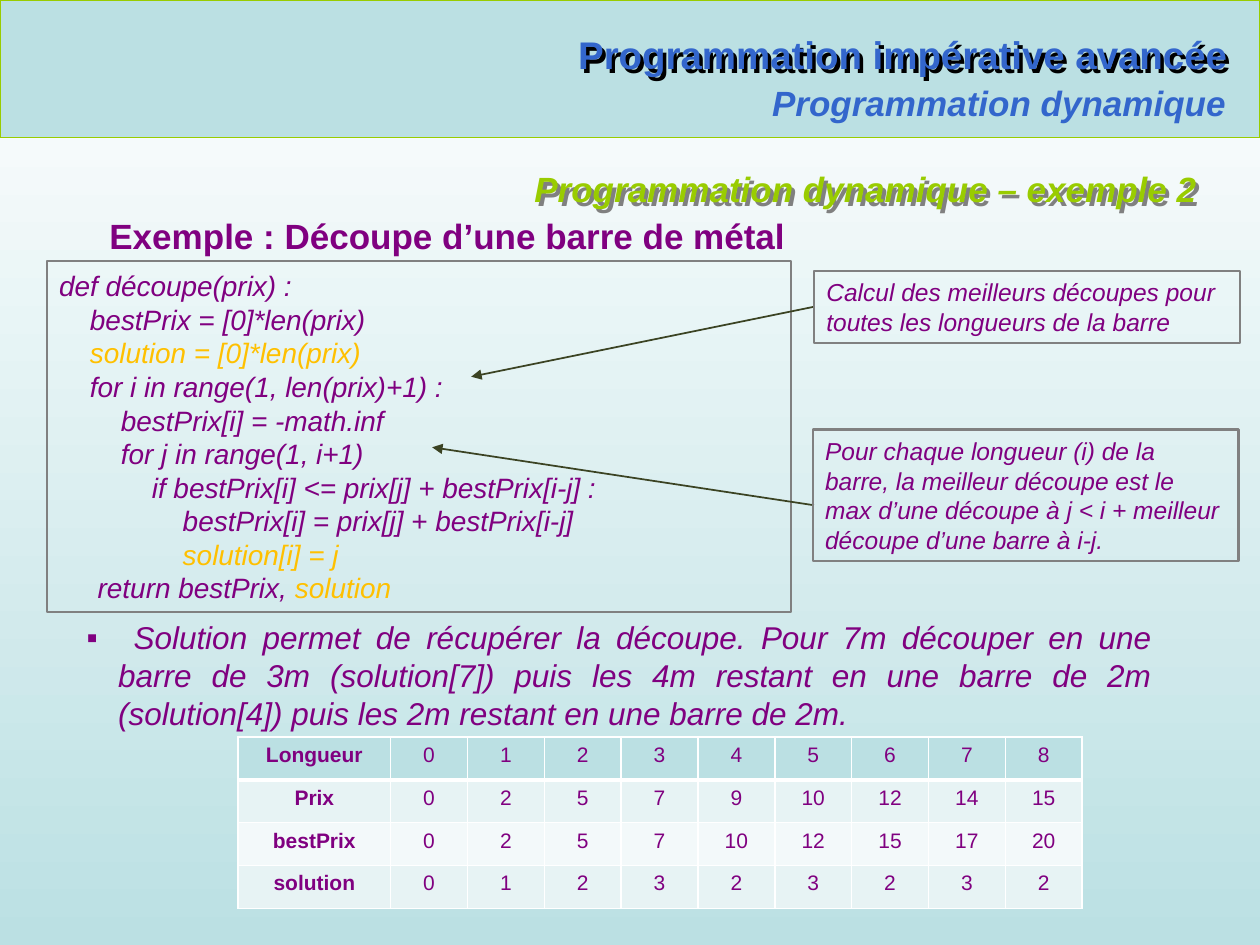
from dataclasses import dataclass

from lxml import etree
from pptx import Presentation
from pptx.dml.color import RGBColor
from pptx.enum.shapes import MSO_CONNECTOR, MSO_SHAPE
from pptx.enum.text import MSO_ANCHOR, MSO_AUTO_SIZE, PP_ALIGN
from pptx.oxml.ns import qn
from pptx.util import Inches, Pt

RECT = MSO_SHAPE.RECTANGLE
STRAIGHT = MSO_CONNECTOR.STRAIGHT
TOP, MIDDLE = MSO_ANCHOR.TOP, MSO_ANCHOR.MIDDLE
LEFT, CENTER, RIGHT, JUSTIFY = (
    PP_ALIGN.LEFT, PP_ALIGN.CENTER, PP_ALIGN.RIGHT, PP_ALIGN.JUSTIFY)
LEFT_SIDE = 1

FONT = "Arial"
COLORS = {
    "white": "FFFFFF", "black": "000000", "gray": "808080", "aqua": "BBE0E3",
    "band_dark": "E7F3F4", "band_light": "F3F9FA", "green": "99CC00",
    "blue": "3366CC", "purple": "800080", "amber": "FFC000", "arrow": "3B4323",
}


@dataclass
class Style:
    size: float
    color: str = "purple"
    bold: bool = False
    italic: bool = False
    align: PP_ALIGN = LEFT


@dataclass
class Callout:
    box: tuple
    text: str
    start: tuple
    target: tuple
    glued: bool


CODE = Style(16, italic=True)
NOTE = Style(14, italic=True)

# Each code line is a list of (text, colour) pieces
CODE_LINES = [
    [("def découpe(prix) :", "purple")],
    [("    bestPrix = [0]*len(prix)", "purple")],
    [("    solution = [0]*len(prix)", "amber")],
    [("    for i in range(1, len(prix)+1) :", "purple")],
    [("        bestPrix[i] = -math.inf", "purple")],
    [("        for j in range(1, i+1)", "purple")],
    [("            if bestPrix[i] <= prix[j] + bestPrix[i-j] :", "purple")],
    [("                bestPrix[i] = prix[j] + bestPrix[i-j]", "purple")],
    [("                solution[i] = j", "amber")],
    [("     return bestPrix, ", "purple"), ("solution", "amber")],
]

CALLOUTS = [
    Callout((6.46, 2.15, 3.38, 0.57),
            "Calcul des meilleurs découpes pour toutes les longueurs de la barre",
            (6.46, 2.44), (3.74, 2.99), True),
    Callout((6.45, 3.41, 3.38, 1.04),
            "Pour chaque longueur (i) de la barre, la meilleur découpe est le max "
            "d’une découpe à j < i + meilleur découpe d’une barre à i-j.",
            (6.46, 4.01), (3.43, 3.55), False),
]

TABLE_ROWS = [
    ("Longueur", range(9), "aqua"),
    ("Prix", (0, 2, 5, 7, 9, 10, 12, 14, 15), "band_dark"),
    ("bestPrix", (0, 2, 5, 7, 10, 12, 15, 17, 20), "band_light"),
    ("solution", (0, 1, 2, 3, 2, 3, 2, 3, 2), "band_dark"),
]


def rgb(name: str) -> RGBColor:
    return RGBColor.from_string(COLORS[name])


def inches(values: tuple) -> list:
    return [Inches(v) for v in values]


def style_paragraph(p, style: Style) -> None:
    p.alignment = style.align
    p.font.name = FONT
    p.font.size = Pt(style.size)
    p.font.bold = style.bold
    p.font.italic = style.italic
    p.font.color.rgb = rgb(style.color)


def write(sp, text: str, style: Style, anchor=TOP, wrap: bool = True):
    tf = sp.text_frame
    tf.auto_size = MSO_AUTO_SIZE.NONE
    tf.word_wrap = wrap
    tf.vertical_anchor = anchor
    p = tf.paragraphs[0]
    p.text = text
    style_paragraph(p, style)
    return p


def add_text(s, box: tuple, text: str, style: Style, wrap: bool = True):
    sp = s.shapes.add_textbox(*inches(box))
    write(sp, text, style, wrap=wrap)
    return sp


def add_box(s, box: tuple, line: str, width: float, fill: str = ""):
    sp = s.shapes.add_shape(RECT, *inches(box))
    sp.shadow.inherit = False
    if fill:
        sp.fill.solid()
        sp.fill.fore_color.rgb = rgb(fill)
    else:
        sp.fill.background()
    sp.line.color.rgb = rgb(line)
    sp.line.width = Pt(width)
    return sp


def add_line(s, start: tuple, end: tuple, color: str, width: float, arrow: bool = False):
    cx = s.shapes.add_connector(STRAIGHT, *inches(start + end))
    cx.line.color.rgb = rgb(color)
    cx.line.width = Pt(width)
    if arrow:
        etree.SubElement(cx.line._get_or_add_ln(), qn("a:tailEnd"), type="triangle")
    etree.SubElement(cx._element.spPr, qn("a:effectLst"))
    return cx


def add_text_shadow(sp, color: str) -> None:
    sp.fill.background()
    effects = etree.SubElement(sp._element.spPr, qn("a:effectLst"))
    shadow = etree.SubElement(effects, qn("a:outerShdw"), dist=str(Pt(2.8)),
                              dir="2700000", algn="ctr", rotWithShape="0")
    etree.SubElement(shadow, qn("a:srgbClr"), val=COLORS[color])


def set_borders(cell, widths: dict) -> None:
    tc_pr = cell._tc.get_or_add_tcPr()
    for i, (side, width) in enumerate(widths.items()):
        ln = etree.Element(qn(f"a:ln{side}"), w=str(Pt(width)))
        fill = etree.SubElement(ln, qn("a:solidFill"))
        etree.SubElement(fill, qn("a:srgbClr"), val=COLORS["white"])
        tc_pr.insert(i, ln)


def add_price_table(s) -> None:
    table = s.shapes.add_table(len(TABLE_ROWS), 10, *inches((1.89, 5.85, 6.67, 1.37))).table
    for c, column in enumerate(table.columns):
        column.width = Inches(0.61 if c else 1.21)
    for r, (label, values, fill) in enumerate(TABLE_ROWS):
        table.rows[r].height = Inches(0.34)
        for c, value in enumerate((label, *values)):
            cell = table.cell(r, c)
            cell.text = str(value)
            style_paragraph(cell.text_frame.paragraphs[0],
                            Style(12, bold=c == 0, align=CENTER))
            cell.fill.solid()
            cell.fill.fore_color.rgb = rgb(fill)
            set_borders(cell, {"L": 1, "R": 1, "T": 3 if r == 1 else 1, "B": 3 if r == 0 else 1})


def main() -> None:
    prs = Presentation()
    prs.slide_width, prs.slide_height = Inches(10), Inches(7.5)
    s = prs.slides.add_slide(prs.slide_layouts[5])

    # Background gradient, white at the top
    bg = s.background.fill
    bg.gradient()
    bg.gradient_angle = 270
    for stop, position, color in zip(bg.gradient_stops, (0, 1), ("white", "aqua")):
        stop.position = position
        stop.color.rgb = rgb(color)

    # Header band
    add_box(s, (0, 0, 10, 1.09), "green", 0.75, "aqua")
    course = add_text(s, (4.42, 0.2, 5.42, 0.47), "Programmation impérative avancée",
                      Style(22, "blue", bold=True, align=RIGHT), wrap=False)
    add_text_shadow(course, "black")
    add_text(s, (6, 0.6, 3.83, 0.44), "Programmation dynamique",
             Style(20, "blue", bold=True, italic=True, align=RIGHT), wrap=False)
    add_line(s, (0.34, 1.09), (9.76, 1.09), "green", 0.75)

    # Slide title and example heading
    title = s.shapes.title
    title.left, title.top, title.width, title.height = inches((4.12, 1.28, 5.48, 0.44))
    write(title, "Programmation dynamique – exemple 2",
          Style(20, "green", bold=True, italic=True, align=RIGHT), TOP)
    add_text_shadow(title, "gray")
    add_text(s, (0.77, 1.65, 8.9, 0.44), "Exemple : Découpe d’une barre de métal",
             Style(20, bold=True, align=JUSTIFY))

    # Code listing
    tf = add_box(s, (0.37, 2.07, 5.91, 2.79), "gray", 1.25).text_frame
    tf.word_wrap = True
    tf.vertical_anchor = MIDDLE
    for i, pieces in enumerate(CODE_LINES):
        p = tf.add_paragraph() if i else tf.paragraphs[0]
        style_paragraph(p, CODE)
        for text, color in pieces:
            r = p.add_run()
            r.text = text
            r.font.color.rgb = rgb(color)

    # Callouts with arrows into the code
    for callout in CALLOUTS:
        arrow = add_line(s, callout.start, callout.target, "arrow", 1, arrow=True)
        sp = add_box(s, callout.box, "gray", 1.25)
        write(sp, callout.text, NOTE, MIDDLE)
        if callout.glued:
            arrow.begin_connect(sp, LEFT_SIDE)

    # Bulleted remark
    sp = s.shapes.add_textbox(*inches((0.34, 4.86, 8.9, 1)))
    p_pr = sp.text_frame.paragraphs[0]._p.get_or_add_pPr()
    p_pr.set("marL", str(Inches(0.5)))
    p_pr.set("indent", str(Inches(-0.25)))
    etree.SubElement(p_pr, qn("a:buFont"), typeface=FONT)
    etree.SubElement(p_pr, qn("a:buChar"), char="▪")
    write(sp, " Solution permet de récupérer la découpe. Pour 7m découper en une barre "
          "de 3m (solution[7]) puis les 4m restant en une barre de 2m (solution[4]) "
          "puis les 2m restant en une barre de 2m.",
          Style(18, italic=True, align=JUSTIFY))

    add_price_table(s)
    prs.save("out.pptx")


if __name__ == "__main__":
    main()
